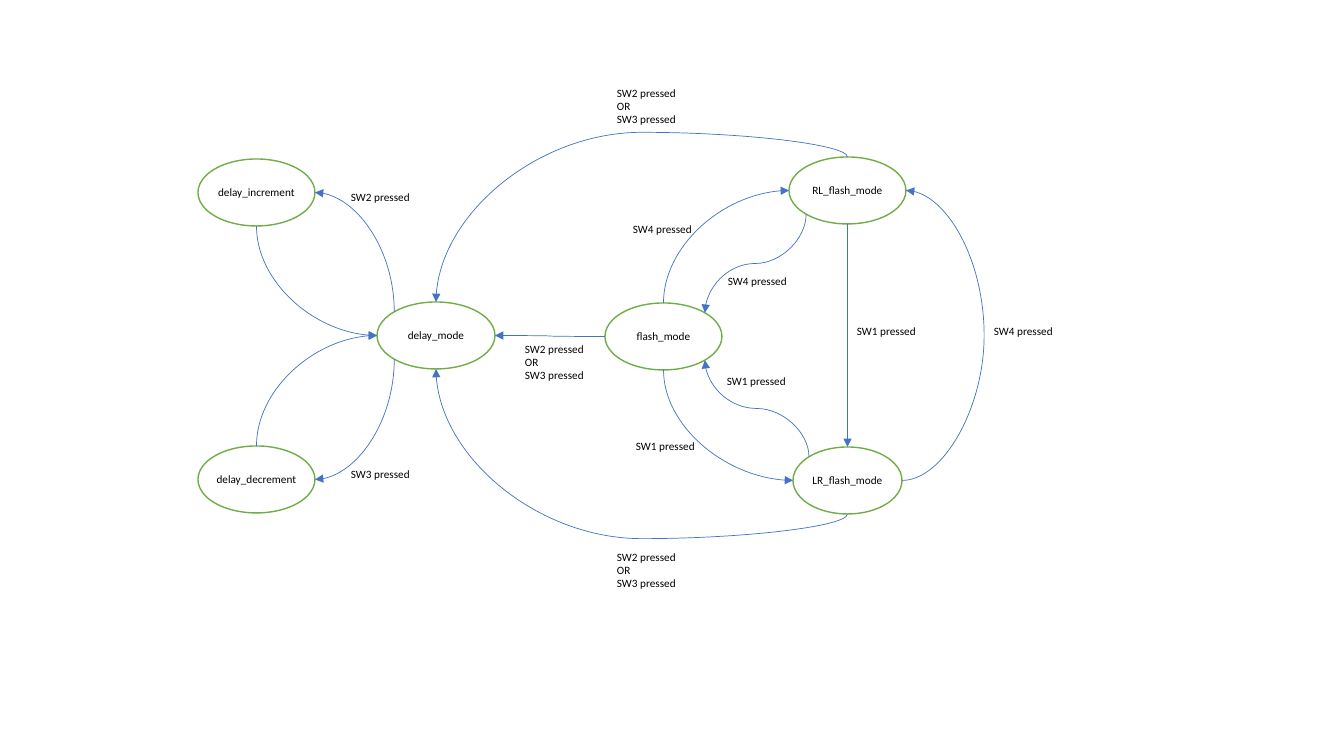
from dataclasses import dataclass
from math import cos, radians, sin

from pptx import Presentation
from pptx import util as u
from pptx.dml.color import RGBColor
from pptx.enum import shapes, text
from pptx.oxml.ns import qn
from pptx.oxml.xmlchemy import OxmlElement


@dataclass
class Theme:
    font: str = "Calibri"
    size: int = 8
    ink: RGBColor = RGBColor(0x00, 0x00, 0x00)
    paper: RGBColor = RGBColor(0xFF, 0xFF, 0xFF)
    state: RGBColor = RGBColor(0x70, 0xAD, 0x47)
    arrow: RGBColor = RGBColor(0x44, 0x72, 0xC4)


theme = Theme()
PIXEL = u.Inches(1) / 100.8


def px(value):
    return u.Emu(round(value * PIXEL))


def write(frame, lines, align):
    for number, line in enumerate(lines):
        para = frame.paragraphs[0] if number == 0 else frame.add_paragraph()
        para.text = line
        para.alignment = align
        para.font.name = theme.font
        para.font.size = u.Pt(theme.size)
        para.font.color.rgb = theme.ink


deck = Presentation()
deck.slide_width, deck.slide_height = px(1344), px(756)
page = deck.slides.add_slide(deck.slide_layouts[6])

states = {
    "delay_mode": (377, 302, 118),
    "delay_decrement": (198, 446, 117),
    "delay_increment": (198, 159, 117),
    "flash_mode": (605, 303, 117),
    "LR_flash_mode": (793, 447, 109),
    "RL_flash_mode": (789, 157, 117),
}
STATE_HEIGHT = 67
ovals = {}
for name, (left, top, width) in states.items():
    oval = page.shapes.add_shape(
        shapes.MSO_SHAPE.OVAL, px(left), px(top), px(width), px(STATE_HEIGHT))
    oval.shadow.inherit = False
    oval.fill.solid()
    oval.fill.fore_color.rgb = theme.paper
    oval.line.color.rgb = theme.state
    oval.line.width = u.Pt(1)
    frame = oval.text_frame
    frame.margin_left = frame.margin_right = frame.margin_top = frame.margin_bottom = 0
    frame.vertical_anchor = text.MSO_ANCHOR.MIDDLE
    frame.word_wrap = False
    write(frame, [name], text.PP_ALIGN.CENTER)
    ovals[name] = oval

TOP, TOP_LEFT, LEFT, BOTTOM_LEFT, BOTTOM, BOTTOM_RIGHT, RIGHT, TOP_RIGHT = range(8)
transitions = [
    ("flash_mode", LEFT, "delay_mode", RIGHT, 180, "", 0.5),
    ("flash_mode", TOP, "RL_flash_mode", LEFT, 90, "HV", None),
    ("flash_mode", BOTTOM, "LR_flash_mode", LEFT, 270, "H", None),
    ("LR_flash_mode", TOP_LEFT, "flash_mode", BOTTOM_RIGHT, 270, "V", 0.5),
    ("RL_flash_mode", BOTTOM_LEFT, "flash_mode", TOP_RIGHT, 90, "", 0.5),
    ("RL_flash_mode", TOP, "delay_mode", TOP, 270, "HV", -0.17),
    ("LR_flash_mode", BOTTOM, "delay_mode", BOTTOM, 90, "H", -0.17),
    ("RL_flash_mode", BOTTOM, "LR_flash_mode", TOP, 90, "", 0.5),
    ("LR_flash_mode", RIGHT, "RL_flash_mode", RIGHT, 0, "V", 20.5),
    ("delay_mode", TOP_LEFT, "delay_increment", RIGHT, 270, "V", None),
    ("delay_mode", BOTTOM_LEFT, "delay_decrement", RIGHT, 90, "", None),
    ("delay_decrement", TOP, "delay_mode", LEFT, 90, "HV", None),
    ("delay_increment", BOTTOM, "delay_mode", LEFT, 270, "H", None),
]
for source, exit_site, target, entry_site, turn, flips, bend in transitions:
    ends = []
    for name, site in ((source, exit_site), (target, entry_site)):
        left, top, width = states[name]
        angle = radians(90 + 45 * site)
        ends.append((left + width / 2 * (1 + cos(angle)),
                     top + STATE_HEIGHT / 2 * (1 - sin(angle))))
    (x1, y1), (x2, y2) = ends
    width, height = abs(x2 - x1), abs(y2 - y1)
    if turn in (90, 270):
        width, height = height, width
    left, top = (x1 + x2 - width) / 2, (y1 + y2 - height) / 2
    arrow = page.shapes.add_connector(
        shapes.MSO_CONNECTOR.CURVE, px(left), px(top), px(left + width), px(top + height))
    arrow.line.color.rgb = theme.arrow
    arrow.line.width = u.Pt(0.5)

    properties = arrow.element.spPr
    frame = properties.find(qn("a:xfrm"))
    frame.set("rot", str(turn * 60000))
    for axis in flips:
        frame.set("flip" + axis, "1")
    geometry = properties.find(qn("a:prstGeom"))
    if bend is None:
        geometry.set("prst", "curvedConnector2")
    else:
        guide = OxmlElement("a:gd")
        guide.set("name", "adj1")
        guide.set("fmla", f"val {round(bend * 100000)}")
        geometry.find(qn("a:avLst")).append(guide)
    head = OxmlElement("a:tailEnd")
    head.set("type", "triangle")
    properties.find(qn("a:ln")).append(head)
    properties.append(OxmlElement("a:effectLst"))

    links = arrow.element.find(".//" + qn("p:cNvCxnSpPr"))
    for tag, name, site in (("a:stCxn", source, exit_site), ("a:endCxn", target, entry_site)):
        link = OxmlElement(tag)
        link.set("id", str(ovals[name].shape_id))
        link.set("idx", str(site))
        links.append(link)

EITHER = ["SW2 pressed", "OR", "SW3 pressed"]
labels = [
    (515, 337, EITHER),
    (607, 545, EITHER),
    (607, 81, EITHER),
    (623, 217, ["SW4 pressed"]),
    (626, 434, ["SW1 pressed"]),
    (717, 369, ["SW1 pressed"]),
    (718, 269, ["SW4 pressed"]),
    (847, 319, ["SW1 pressed"]),
    (984, 319, ["SW4 pressed"]),
    (341, 185, ["SW2 pressed"]),
    (341, 462, ["SW3 pressed"]),
]
for left, top, lines in labels:
    height = 24 if len(lines) == 1 else 50
    box = page.shapes.add_textbox(px(left), px(top), px(80), px(height))
    box.text_frame.word_wrap = False
    box.text_frame.auto_size = text.MSO_AUTO_SIZE.SHAPE_TO_FIT_TEXT
    write(box.text_frame, lines, text.PP_ALIGN.LEFT)

deck.save("out.pptx")
